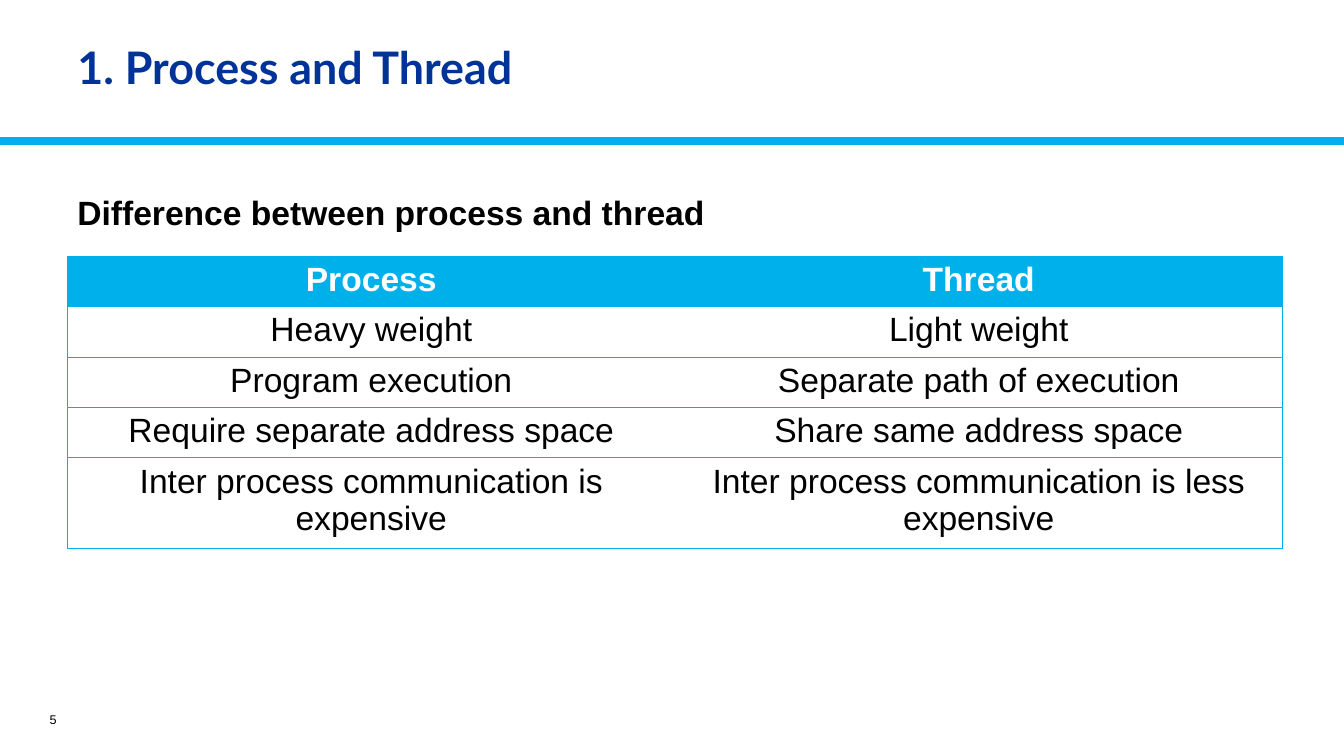
import pptx
import pptx.util
import pptx.dml.color
import pptx.enum.shapes
import pptx.enum.text
import pptx.oxml.ns
import lxml.etree

Cm = pptx.util.Cm
Pt = pptx.util.Pt
SKY = pptx.dml.color.RGBColor(0x00, 0xB0, 0xEA)
NAVY = pptx.dml.color.RGBColor(0x00, 0x33, 0x99)
BLACK = pptx.dml.color.RGBColor(0, 0, 0)
WHITE = pptx.dml.color.RGBColor(255, 255, 255)
ALIGN = pptx.enum.text.PP_ALIGN
ANCHOR = pptx.enum.text.MSO_ANCHOR
qn = pptx.oxml.ns.qn


def style(paragraph, size, color, bold=False, font="Arial", align=ALIGN.LEFT):
    paragraph.alignment = align
    paragraph.font.name = font
    paragraph.font.size = Pt(size)
    paragraph.font.bold = bold
    paragraph.font.color.rgb = color


def add_border(cell, side, visible):
    border = lxml.etree.SubElement(cell._tc.get_or_add_tcPr(), qn("a:" + side), w=str(Pt(0.5)))
    if visible:
        fill = lxml.etree.SubElement(border, qn("a:solidFill"))
        lxml.etree.SubElement(fill, qn("a:srgbClr"), val=str(SKY))
    else:
        lxml.etree.SubElement(border, qn("a:noFill"))


presentation = pptx.Presentation()
presentation.slide_width = Cm(33.87)
presentation.slide_height = Cm(19.05)
slide = presentation.slides.add_slide(presentation.slide_layouts[6])

divider = slide.shapes.add_connector(
    pptx.enum.shapes.MSO_CONNECTOR.STRAIGHT, 0, Cm(3.56), presentation.slide_width, Cm(3.56))
divider.line.color.rgb = SKY
divider.line.width = Pt(6)
lxml.etree.SubElement(divider._element.spPr, qn("a:effectLst"))

page_number = slide.shapes.add_textbox(Cm(0.23), Cm(17.75), Cm(1.45), Cm(0.76)).text_frame
page_number.word_wrap = True
page_number.vertical_anchor = ANCHOR.MIDDLE
page_number.text = "5"
style(page_number.paragraphs[0], 9, BLACK, align=ALIGN.RIGHT)

rows = [
    ("Process", "Thread"),
    ("Heavy weight", "Light weight"),
    ("Program execution", "Separate path of execution"),
    ("Require separate address space", "Share same address space"),
    ("Inter process communication is expensive", "Inter process communication is less expensive"),
]
row_heights = [1.2, 1.2, 1.2, 1.2, 2.13]
comparison = slide.shapes.add_table(
    len(rows), 2, Cm(1.7), Cm(6.45), Cm(30.62), Cm(sum(row_heights))).table
comparison.horz_banding = False
for row, height, texts in zip(comparison.rows, row_heights, rows):
    row.height = Cm(height)
    is_header = texts == rows[0]
    for column, (cell, text) in enumerate(zip(row.cells, texts)):
        cell.text = text
        style(cell.text_frame.paragraphs[0], 24, WHITE if is_header else BLACK,
              bold=is_header, align=ALIGN.CENTER)
        add_border(cell, "lnL", column == 0)
        add_border(cell, "lnR", column == 1)
        add_border(cell, "lnT", True)
        add_border(cell, "lnB", True)
        if is_header:
            cell.fill.solid()
            cell.fill.fore_color.rgb = SKY
        else:
            cell.fill.background()

subtitle = slide.shapes.add_textbox(Cm(1.7), Cm(4.7), Cm(16.48), Cm(1.28)).text_frame
subtitle.word_wrap = False
subtitle.auto_size = pptx.enum.text.MSO_AUTO_SIZE.SHAPE_TO_FIT_TEXT
subtitle.text = "Difference between process and thread"
style(subtitle.paragraphs[0], 24, BLACK, bold=True)

title = slide.shapes.add_textbox(Cm(1.7), Cm(0.36), Cm(30.53), Cm(2.82)).text_frame
title.word_wrap = True
title.vertical_anchor = ANCHOR.MIDDLE
title.text = "1. Process and Thread"
title.paragraphs[0].line_spacing = 0.9
style(title.paragraphs[0], 32, NAVY, bold=True, font="Lato")

presentation.save("out.pptx")
